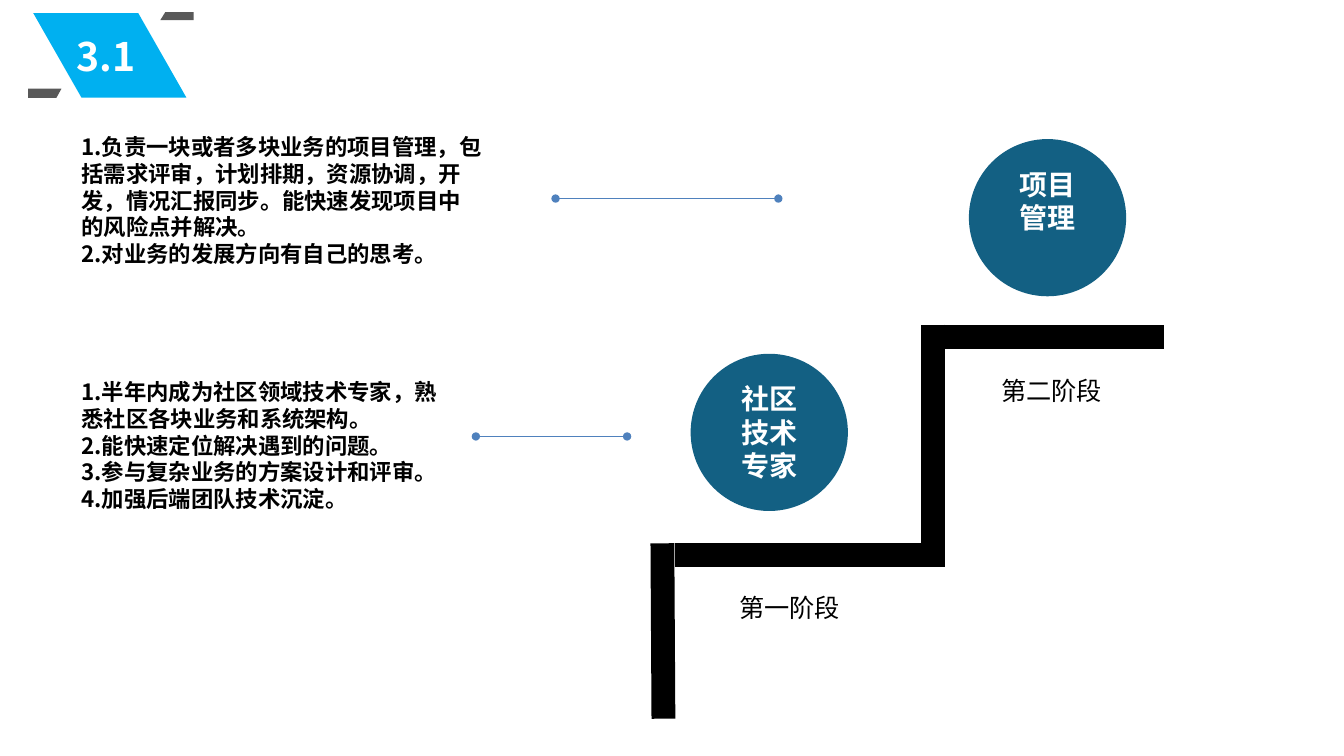
from pptx import Presentation
from pptx.dml.color import RGBColor
from pptx.enum.shapes import MSO_CONNECTOR, MSO_SHAPE
from pptx.enum.text import MSO_ANCHOR, PP_ALIGN
from pptx.oxml.ns import qn
from pptx.util import Inches, Pt
from lxml import etree

LEFT, CENTER = PP_ALIGN.LEFT, PP_ALIGN.CENTER
TOP = MSO_ANCHOR.TOP
LINE = MSO_CONNECTOR.STRAIGHT
OVAL, SLANT = MSO_SHAPE.OVAL, MSO_SHAPE.PARALLELOGRAM


def color(code):
    return RGBColor.from_string(code)


class Board:
    font = "Noto Sans CJK SC"
    leading = 1.2
    black, white, gray = "000000", "FFFFFF", "595959"
    sky, teal, blue = "00B0F0", "136083", "4F81BD"

    def __init__(self, slide):
        self.slide = slide
        self.shapes = slide.shapes

    def paint(self, shape, fill):
        shape.shadow.inherit = False
        shape.fill.solid()
        shape.fill.fore_color.rgb = color(fill)
        shape.line.fill.background()

    def letter(self, frame, lines, size, tint, bold, align, font):
        frame.word_wrap = True
        frame.vertical_anchor = TOP
        for i, line in enumerate(lines):
            para = frame.paragraphs[0] if i == 0 else frame.add_paragraph()
            para.alignment = align
            para.line_spacing = Pt(size * self.leading)
            run = para.add_run()
            run.text = line
            run.font.size = Pt(size)
            run.font.bold = bold
            run.font.name = font
            run.font.color.rgb = color(tint)
            east = etree.SubElement(run.font._element, qn("a:ea"))
            east.set("typeface", self.font)

    def text(self, x, y, w, h, lines, size, tint=black, bold=True,
             align=LEFT, font=font):
        box = self.shapes.add_textbox(Inches(x), Inches(y), Inches(w), Inches(h))
        self.letter(box.text_frame, lines, size, tint, bold, align, font)

    def disc(self, x, y, lines):
        side = Inches(1.56)
        disc = self.shapes.add_shape(OVAL, Inches(x), Inches(y), side, side)
        self.paint(disc, self.teal)
        self.letter(disc.text_frame, lines, 20, self.white, True, CENTER, self.font)

    def slant(self, x, y, w, h):
        shape = self.shapes.add_shape(SLANT, Inches(x), Inches(y), Inches(w), Inches(h))
        shape.adjustments[0] = 0.57
        shape._element.spPr.find(qn("a:xfrm")).set("flipH", "1")
        self.paint(shape, self.sky)

    def chip(self, points):
        points = [(Inches(x), Inches(y)) for x, y in points]
        form = self.shapes.build_freeform(*points[0])
        form.add_line_segments(points[1:], close=True)
        self.paint(form.convert_to_shape(), self.gray)

    def line(self, x1, y1, x2, y2, tint, width, dots=False):
        line = self.shapes.add_connector(
            LINE, Inches(x1), Inches(y1), Inches(x2), Inches(y2))
        line.line.color.rgb = color(tint)
        line.line.width = Pt(width)
        if dots:
            for end in ("a:headEnd", "a:tailEnd"):
                etree.SubElement(line.line._get_or_add_ln(), qn(end)).set("type", "oval")
        etree.SubElement(line._element.spPr, qn("a:effectLst"))


def main():
    deck = Presentation()
    deck.slide_width, deck.slide_height = Inches(13.33), Inches(7.5)
    board = Board(deck.slides.add_slide(deck.slide_layouts[6]))

    board.chip([(0.28, 0.88), (0.61, 0.88), (0.56, 0.97), (0.28, 0.97)])
    board.chip([(1.92, 0.2), (1.59, 0.2), (1.64, 0.12), (1.92, 0.12)])
    board.slant(0.33, 0.13, 1.52, 0.84)
    board.text(0.33, 0.27, 1.44, 0.56, ["3.1"], 28, board.white, align=CENTER)

    board.disc(6.85, 3.51, ["社区", "技术", "专家"])
    board.disc(9.61, 1.38, ["项目", "管理"])

    board.text(0.71, 3.7, 3.86, 3.39, [
        "1.半年内成为社区领域技术专家，熟悉社区各块业务和系统架构。",
        "2.能快速定位解决遇到的问题。",
        "3.参与复杂业务的方案设计和评审。",
        "4.加强后端团队技术沉淀。",
    ], 16)
    board.text(0.71, 1.27, 4.17, 1.64, [
        "1.负责一块或者多块业务的项目管理，包括需求评审，计划排期，资源协调，"
        "开发，情况汇报同步。能快速发现项目中的风险点并解决。",
        "2.对业务的发展方向有自己的思考。",
    ], 16)

    for x, y, label in [(6.77, 5.83, "第一阶段"), (9.37, 3.67, "第二阶段")]:
        board.text(x, y, 2.12, 0.42, [label], 18, bold=False, align=CENTER, font="Arial")

    for x1, x2, y in [(7.72, 5.51, 1.97), (6.22, 4.72, 4.33)]:
        board.line(x1, y, x2, y, board.blue, 1, dots=True)

    for step in [(6.69, 5.51, 9.37, 5.51), (9.25, 3.22, 9.25, 5.39),
                 (9.35, 3.34, 11.54, 3.34), (6.57, 5.39, 6.58, 7.13)]:
        board.line(*step, board.black, 17)

    deck.save("out.pptx")


if __name__ == "__main__":
    main()
